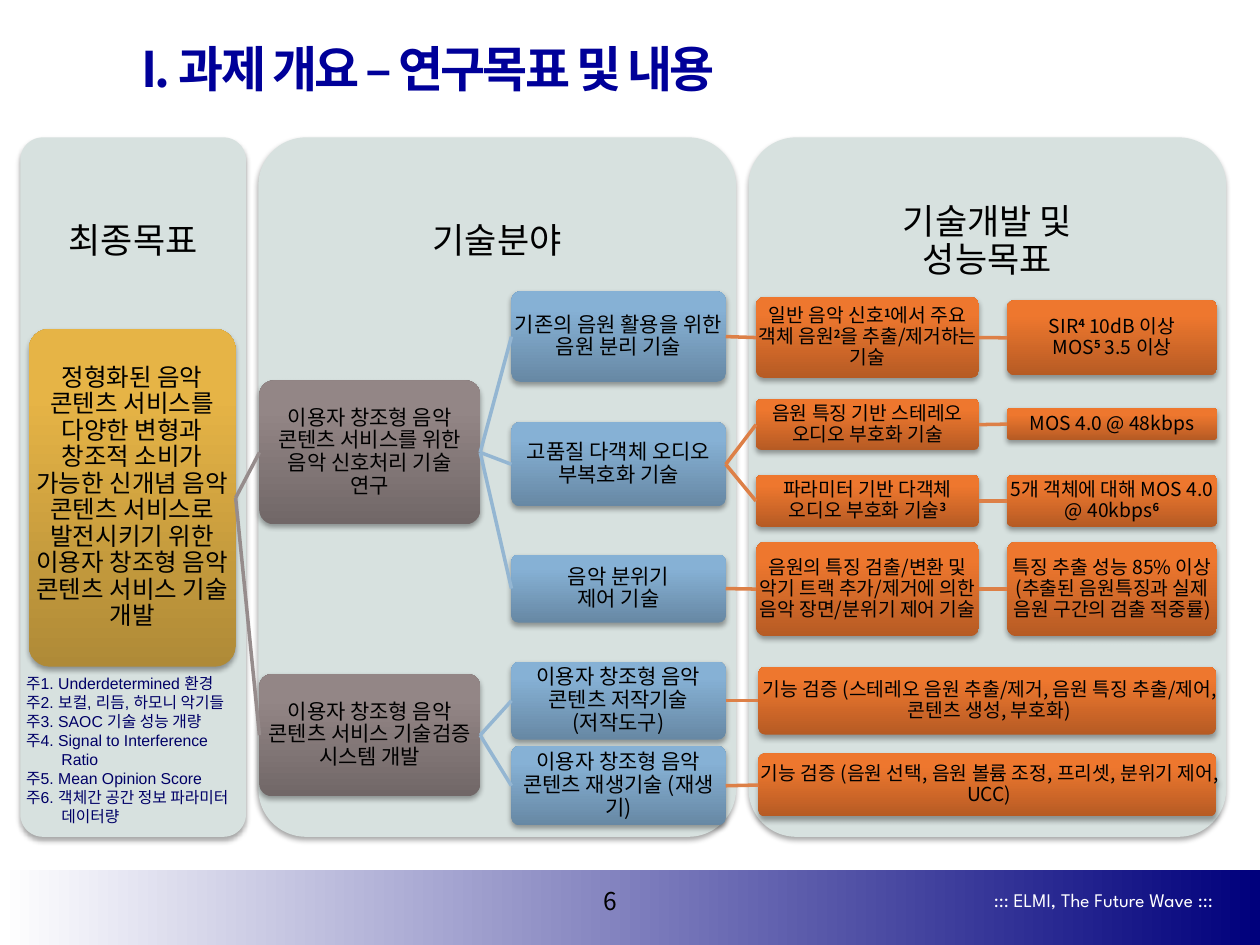
from lxml import etree
from pptx import Presentation
from pptx import util as u
from pptx.dml.color import RGBColor
from pptx.enum import shapes, text
from pptx.oxml import ns

FACE = "Noto Sans CJK KR"
BLACK = RGBColor(0x00, 0x00, 0x00)
WHITE = RGBColor(0xFF, 0xFF, 0xFF)
NAVY = RGBColor(0x00, 0x00, 0x7C)
TITLE_BLUE = RGBColor(0x00, 0x00, 0x99)
NOTE_BLUE = RGBColor(0x00, 0x00, 0x66)
PANEL = RGBColor(0xD7, 0xE1, 0xDF)
GOLD = RGBColor(0xAF, 0x8A, 0x37), RGBColor(0xE6, 0xB4, 0x46)
GREY = RGBColor(0x71, 0x67, 0x67), RGBColor(0x93, 0x86, 0x86)
BLUE = RGBColor(0x67, 0x88, 0xA4), RGBColor(0x86, 0xB1, 0xD5)
ORANGE = RGBColor(0xB6, 0x5B, 0x24), RGBColor(0xEE, 0x77, 0x2E)
GREY_LINE = RGBColor(0x96, 0x8C, 0x8C)
BLUE_LINE = RGBColor(0x94, 0xB6, 0xD2)
ORANGE_LINE = RGBColor(0xDD, 0x80, 0x47)


def add_runs(paragraph, pieces, size, color, face=FACE):
    for index, piece in enumerate(pieces):
        for number, line in enumerate(piece.split("\n")):
            if number:
                paragraph.add_line_break()
            run = paragraph.add_run()
            run.text = line
            run.font.size = u.Pt(size)
            run.font.name = face
            run.font.color.rgb = color
            properties = run.font._element
            east_asian = FACE if face == "Arial" else face
            etree.SubElement(properties, ns.qn("a:ea"), typeface=east_asian)
            if index % 2:
                run.font.bold = True
                properties.set("baseline", "30000")


def add_card(left, top, width, height, pieces, size, margin, extra_bottom=0):
    card = slide.shapes.add_shape(shapes.MSO_SHAPE.ROUNDED_RECTANGLE,
                                  u.Cm(left), u.Cm(top), u.Cm(width), u.Cm(height))
    card.adjustments[0] = 0.1
    card.line.fill.background()
    card.shadow.inherit = False
    effects = card._element.spPr.find(ns.qn("a:effectLst"))
    shadow = etree.SubElement(effects, ns.qn("a:outerShdw"), blurRad="39370",
                              dist="22860", dir="5400000", rotWithShape="0")
    shade = etree.SubElement(shadow, ns.qn("a:srgbClr"), val="000000")
    etree.SubElement(shade, ns.qn("a:alpha"), val="35000")
    frame = card.text_frame
    frame.word_wrap = not any("\n" in piece for piece in pieces)
    frame.vertical_anchor = text.MSO_ANCHOR.MIDDLE
    frame.margin_left = frame.margin_right = frame.margin_top = u.Cm(margin)
    frame.margin_bottom = u.Cm(margin + extra_bottom)
    paragraph = frame.paragraphs[0]
    paragraph.alignment = text.PP_ALIGN.CENTER
    paragraph.line_spacing = 0.9
    add_runs(paragraph, pieces, size, BLACK)
    return card


presentation = Presentation()
presentation.slide_width = u.Cm(25.4)
presentation.slide_height = u.Cm(19.05)
slide = presentation.slides.add_slide(presentation.slide_layouts[5])

band = slide.shapes.add_shape(shapes.MSO_SHAPE.RECTANGLE,
                              0, u.Cm(17.53), u.Cm(25.4), u.Cm(1.52))
band.shadow.inherit = False
band.line.fill.background()
band.fill.gradient()
band.fill.gradient_angle = 0
for stop, color in zip(band.fill.gradient_stops, (WHITE, NAVY)):
    stop.color.rgb = color
band.fill.gradient_stops[1].position = 1

title = slide.shapes.title
title.left, title.top, title.width, title.height = u.Cm(2.59), u.Cm(0.58), u.Cm(19.84), u.Cm(1.57)
title.text_frame.vertical_anchor = text.MSO_ANCHOR.MIDDLE
paragraph = title.text_frame.paragraphs[0]
paragraph.alignment = text.PP_ALIGN.LEFT
add_runs(paragraph, ["I. 과제 개요 – 연구목표 및 내용"], 28, TITLE_BLUE)
paragraph.runs[0].font.bold = True
paragraph.runs[0].font._element.set("spc", "-150")

footers = [
    (19.33, 17.78, 5.38, 0.71, "::: ELMI, The Future Wave :::", 11, WHITE,
     "League Spartan", text.PP_ALIGN.RIGHT),
    (11.51, 17.73, 1.6, 0.84, "6", 14, BLACK, FACE, text.PP_ALIGN.CENTER),
]
for left, top, width, height, words, size, color, face, alignment in footers:
    box = slide.shapes.add_textbox(u.Cm(left), u.Cm(top), u.Cm(width), u.Cm(height))
    box.text_frame.word_wrap = True
    box.text_frame.vertical_anchor = text.MSO_ANCHOR.MIDDLE
    box.text_frame.paragraphs[0].alignment = alignment
    add_runs(box.text_frame.paragraphs[0], [words], size, color, face)

panels = [(15.09, 9.63, "기술개발 및\n성능목표"), (5.21, 9.63, "기술분야"), (0.41, 4.55, "최종목표")]
for left, width, heading in panels:
    panel = add_card(left, 2.77, width, 14.1, [heading], 20, 0.4, extra_bottom=9.88)
    panel.fill.solid()
    panel.fill.fore_color.rgb = PANEL

columns = {
    "goal": (0.58, 4.17, 14, GOLD, None),
    "field": (5.23, 4.45, 12, GREY, GREY_LINE),
    "technology": (10.31, 4.32, 12, BLUE, BLUE_LINE),
    "development": (15.24, 4.5, 11, ORANGE, ORANGE_LINE),
    "target": (20.3, 4.24, 11, ORANGE, ORANGE_LINE),
    "verification": (15.29, 9.22, 11, ORANGE, ORANGE_LINE),
}
nodes = [
    ("goal", None, "goal", 6.63, 6.81,
     ["정형화된 음악 콘텐츠 서비스를 다양한 변형과 창조적 소비가 가능한 신개념 음악 콘텐츠 서비스로 "
      "발전시키기 위한 이용자 창조형 음악 콘텐츠 서비스 기술 개발"]),
    ("signal", "goal", "field", 7.67, 2.9,
     ["이용자 창조형 음악\n콘텐츠 서비스를 위한\n음악 신호처리 기술\n연구"]),
    ("separation", "signal", "technology", 5.87, 1.83, ["기존의 음원 활용을 위한\n음원 분리 기술"]),
    ("extraction", "separation", "development", 5.99, 1.63,
     ["일반 음악 신호", "1", "에서 주요 객체 음원", "2", "을 추출/제거하는 기술"]),
    ("quality", "extraction", "target", 6.05, 1.52,
     ["SIR", "4", " 10dB 이상\nMOS", "5", " 3.5 이상"]),
    ("coding", "signal", "technology", 8.51, 1.7, ["고품질 다객체 오디오 부복호화 기술"]),
    ("stereo", "coding", "development", 8.05, 1.02, ["음원 특징 기반 스테레오 오디오 부호화 기술"]),
    ("stereo rate", "stereo", "target", 8.23, 0.64, ["MOS 4.0 @ 48kbps"]),
    ("parametric", "coding", "development", 9.58, 1.04, ["파라미터 기반 다객체 오디오 부호화 기술", "3"]),
    ("object rate", "parametric", "target", 9.58, 1.04, ["5개 객체에 대해 MOS 4.0 @ 40kbps", "6"]),
    ("mood", "signal", "technology", 11.18, 1.37, ["음악 분위기\n제어 기술"]),
    ("scene", "mood", "development", 10.92, 1.91,
     ["음원의 특징 검출/변환 및 악기 트랙 추가/제거에 의한 음악 장면/분위기 제어 기술"]),
    ("accuracy", "scene", "target", 10.92, 1.91,
     ["특징 추출 성능 85% 이상(추출된 음원특징과 실제 음원 구간의 검출 적중률)"]),
    ("system", "goal", "field", 13.59, 2.46, ["이용자 창조형 음악 콘텐츠 서비스 기술검증 시스템 개발"]),
    ("authoring", "system", "technology", 13.34, 1.57, ["이용자 창조형 음악 콘텐츠 저작기술 (저작도구)"]),
    ("authoring check", "authoring", "verification", 13.44, 1.37,
     ["기능 검증 (스테레오 음원 추출/제거, 음원 특징 추출/제어, 콘텐츠 생성, 부호화)"]),
    ("playback", "system", "technology", 15.04, 1.6, ["이용자 창조형 음악 콘텐츠 재생기술 (재생기)"]),
    ("playback check", "playback", "verification", 15.19, 1.27,
     ["기능 검증 (음원 선택, 음원 볼륨 조정, 프리셋, 분위기 제어, UCC)"]),
]
cards = {}
for name, parent, column, top, height, pieces in nodes:
    left, width, size, shades, line_color = columns[column]
    card = cards[name] = add_card(left, top, width, height, pieces, size, 0)
    card.fill.gradient()
    card.fill.gradient_angle = 90
    for stop, shade, position in zip(card.fill.gradient_stops, shades, (0, 0.8)):
        stop.color.rgb = shade
        stop.position = position
    if parent:
        link = slide.shapes.add_connector(shapes.MSO_CONNECTOR.STRAIGHT, 0, 0, 0, 0)
        link.begin_connect(cards[parent], 3)
        link.end_connect(card, 1)
        link.line.color.rgb = line_color
        link.line.width = u.Pt(2)
        etree.SubElement(link._element.spPr, ns.qn("a:effectLst"))

notes = [
    ("주1. Underdetermined 환경", False),
    ("주2. 보컬, 리듬, 하모니 악기들", False),
    ("주3. SAOC 기술 성능 개량", False),
    ("주4. Signal to Interference", False),
    ("Ratio", True),
    ("주5. Mean Opinion Score", False),
    ("주6. 객체간 공간 정보 파라미터", False),
    ("데이터량", True),
]
box = slide.shapes.add_textbox(u.Cm(0.28), u.Cm(13.46), u.Cm(4.93), u.Cm(3.68))
frame = box.text_frame
frame.word_wrap = True
for index, (words, continued) in enumerate(notes):
    paragraph = frame.add_paragraph() if index else frame.paragraphs[0]
    properties = paragraph._p.get_or_add_pPr()
    properties.set("marL", str(u.Cm(0.71 if continued else 0.51)))
    properties.set("indent", str(u.Cm(0 if continued else -0.51)))
    add_runs(paragraph, [words], 9, NOTE_BLUE, "Arial")

presentation.save("out.pptx")
